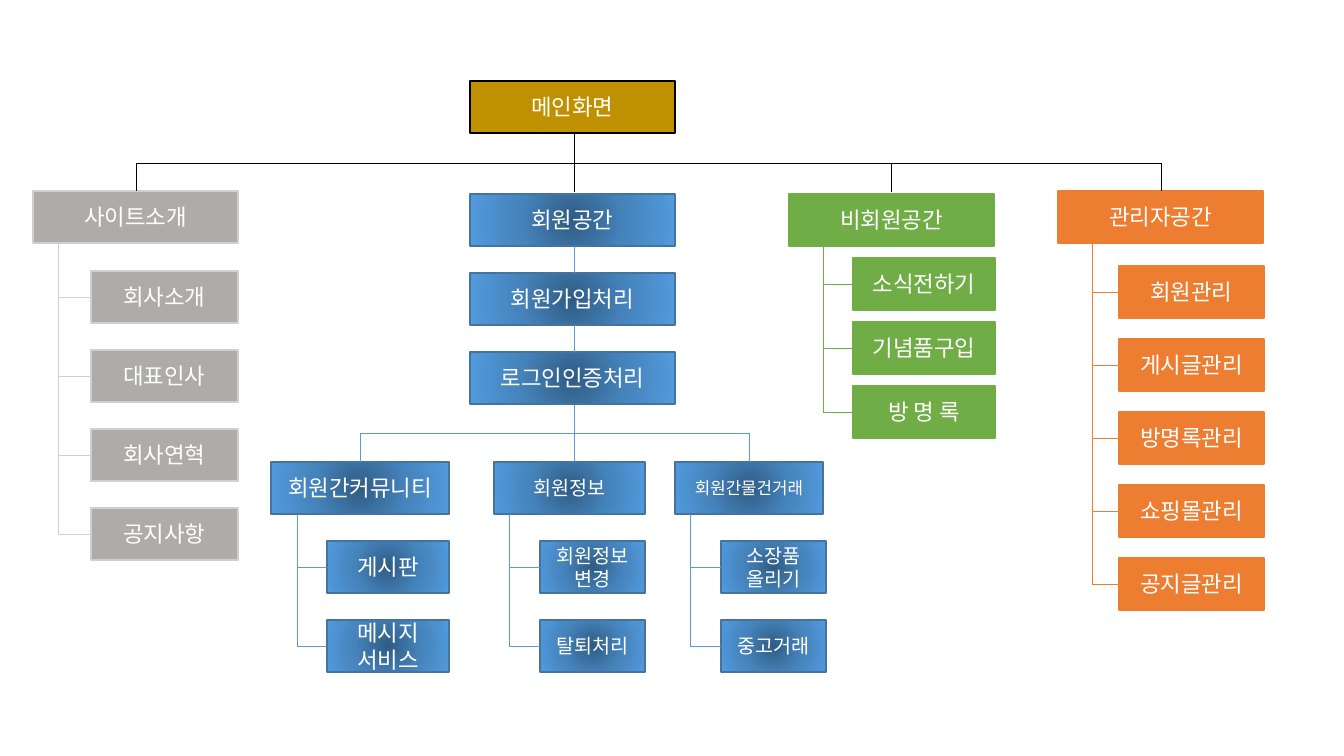
from dataclasses import dataclass

from lxml import etree
from pptx import Presentation
from pptx import util as u
from pptx.dml.color import RGBColor
from pptx.enum import shapes, text
from pptx.oxml import parse_xml
from pptx.oxml.ns import nsdecls, qn

SCALE = 914400 / 100.8  # EMU per pixel
BOX_HEIGHT = 52
HEAD_WIDTH = 205


@dataclass(frozen=True)
class Palette:
    """Fill, outline and connector colours of one area of the site."""
    fill: object
    outline: str
    link: str


@dataclass(frozen=True)
class Theme:
    """Colours, font and type sizes of the site map."""
    main = Palette("BF9000", "000000", "000000")
    about = Palette("AFABAB", "D0CECE", "D0CECE")
    member = Palette(((0, "305C84"), (50, "4583BB"), (100, "529BDE")),
                     "43739E", "5B9BD5")
    guest = Palette("70AD47", "70AD47", "70AD47")
    admin = Palette("ED7D31", "ED7D31", "ED7D31")
    text = "FFFFFF"
    font = "Noto Sans CJK KR"
    large, medium, small = 16, 14, 12
    outline_width, link_width = 1, 0.5


def px(length):
    """Turn pixels into EMU."""
    return u.Emu(round(length * SCALE))


def assign(target, values):
    """Set attributes from a dict of format values."""
    for name, value in values.items():
        setattr(target, name, value)


class SiteMap:
    """Draws boxes and their connecting lines on the current slide."""

    def __init__(self, slide, theme):
        """Keep the slide and its style."""
        self.slide, self.theme = slide, theme

    def radial_fill(self, shape, stops):
        """Fill a shape with a gradient that spreads from its centre."""
        stop_xml = "".join(
            f'<a:gs pos="{position * 1000}"><a:srgbClr val="{color}"/></a:gs>'
            for position, color in stops)
        gradient = parse_xml(
            f'<a:gradFill {nsdecls("a")} rotWithShape="1"><a:gsLst>{stop_xml}</a:gsLst>'
            '<a:path path="circle"><a:fillToRect l="50000" t="50000" r="50000" b="50000"/>'
            '</a:path></a:gradFill>')
        shape._element.spPr.find(qn("a:prstGeom")).addnext(gradient)

    def box(self, label, left, top, width, palette, size=Theme.large):
        """Add one labelled box."""
        shape = self.slide.shapes.add_shape(
            shapes.MSO_SHAPE.RECTANGLE, px(left), px(top), px(width), px(BOX_HEIGHT))
        shape.shadow.inherit = False
        if isinstance(palette.fill, str):
            shape.fill.solid()
            shape.fill.fore_color.rgb = RGBColor.from_string(palette.fill)
        else:
            self.radial_fill(shape, palette.fill)
        shape.line.color.rgb = RGBColor.from_string(palette.outline)
        shape.line.width = u.Pt(self.theme.outline_width)
        frame = shape.text_frame
        frame.text = label
        assign(frame, {"word_wrap": True, "vertical_anchor": text.MSO_ANCHOR.MIDDLE})
        for paragraph in frame.paragraphs:
            paragraph.alignment = text.PP_ALIGN.CENTER
            for run in paragraph.runs:
                assign(run.font, {"name": self.theme.font, "size": u.Pt(size)})
                run.font.color.rgb = RGBColor.from_string(self.theme.text)
                east_asian = etree.SubElement(run._r.get_or_add_rPr(), qn("a:ea"))
                east_asian.set("typeface", self.theme.font)

    def link(self, start, end, palette):
        """Add one thin straight line between two points."""
        line = self.slide.shapes.add_connector(
            shapes.MSO_CONNECTOR.STRAIGHT, *map(px, (*start, *end)))
        line.line.color.rgb = RGBColor.from_string(palette.link)
        line.line.width = u.Pt(self.theme.link_width)
        etree.SubElement(line._element.spPr, qn("a:effectLst"))

    def branch(self, head, trunk, children, palette):
        """Add a head box and the list of boxes that hang from its trunk."""
        self.box(*head["box"], palette, head["size"])
        left, first, step, width, size = children["grid"]
        for index, label in enumerate(children["labels"]):
            top = first + index * step
            middle = top + BOX_HEIGHT // 2
            self.box(label, left, top, width, palette, size)
            self.link((left, middle), (trunk, middle), palette)
        self.link((trunk, middle), (trunk, head["box"][2] + BOX_HEIGHT), palette)

    def fork(self, parent_x, parent_bottom, rail, ends, palette):
        """Join a parent box to several heads through a horizontal rail."""
        self.link((parent_x, parent_bottom), (parent_x, rail), palette)
        self.link((ends[0][0], rail), (ends[-1][0], rail), palette)
        for x, top in ends:
            self.link((x, rail), (x, top), palette)


def head(label, left, top, width=HEAD_WIDTH, size=Theme.large):
    """Describe the head box of a branch."""
    return {"box": (label, left, top, width), "size": size}


def children(labels, left, first, step, width, size=Theme.large):
    """Describe the evenly spaced boxes under a head."""
    return {"labels": labels, "grid": (left, first, step, width, size)}


theme = Theme()
presentation = Presentation()
assign(presentation, {"slide_width": px(1344), "slide_height": px(756)})
blank_layout = presentation.slide_layouts[6]
site_map = SiteMap(presentation.slides.add_slide(blank_layout), theme)

SPINE_LEFT, SPINE_X = 470, 574
site_map.box("메인화면", SPINE_LEFT, 81, HEAD_WIDTH, theme.main)

member_steps = ("회원공간", "회원가입처리", "로그인인증처리")
MEMBER_TOP, MEMBER_STEP = 194, 79
for index, label in enumerate(member_steps):
    top = MEMBER_TOP + index * MEMBER_STEP
    site_map.box(label, SPINE_LEFT, top, HEAD_WIDTH, theme.member)
    if index:
        site_map.link((SPINE_X, top), (SPINE_X, top - MEMBER_STEP + BOX_HEIGHT),
                      theme.member)

branches = (
    (head("사이트소개", 33, 191), 58,
     children(("회사소개", "대표인사", "회사연혁", "공지사항"), 91, 271, 79, 147),
     theme.about),
    (head("회원간커뮤니티", 271, 462, 178), 297,
     children(("게시판", "메시지\n서비스"), 327, 541, 79, 122), theme.member),
    (head("회원정보", 494, 462, 151, theme.medium), 509,
     children(("회원정보변경", "탈퇴처리"), 540, 541, 79, 105, theme.medium),
     theme.member),
    (head("회원간물건거래", 675, 462, 148, theme.small), 690,
     children(("소장품\n올리기", "중고거래"), 721, 541, 79, 105, theme.medium),
     theme.member),
    (head("비회원공간", 789, 194), 823,
     children(("소식전하기", "기념품구입", "방 명 록"), 853, 258, 64, 142),
     theme.guest),
    (head("관리자공간", 1058, 191), 1092,
     children(("회원관리", "게시글관리", "방명록관리", "쇼핑몰관리", "공지글관리"),
              1119, 266, 73, 145), theme.admin),
)
for branch in branches:
    site_map.branch(*branch)

site_map.fork(SPINE_X, 405, 433, ((360, 462), (SPINE_X, 462), (749, 462)), theme.member)
site_map.fork(SPINE_X, 133, 163,
              ((136, 191), (SPINE_X, 192), (891, 192), (1161, 191)), theme.main)

presentation.save("out.pptx")
